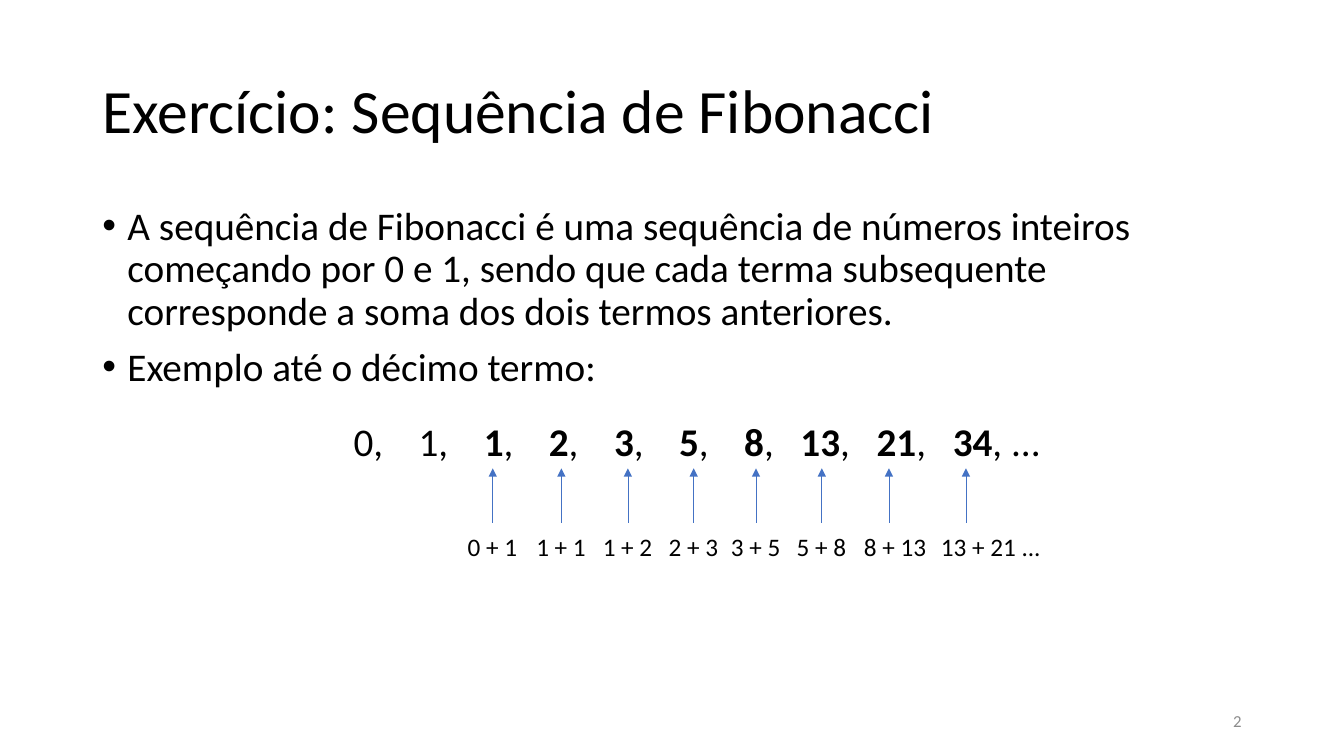
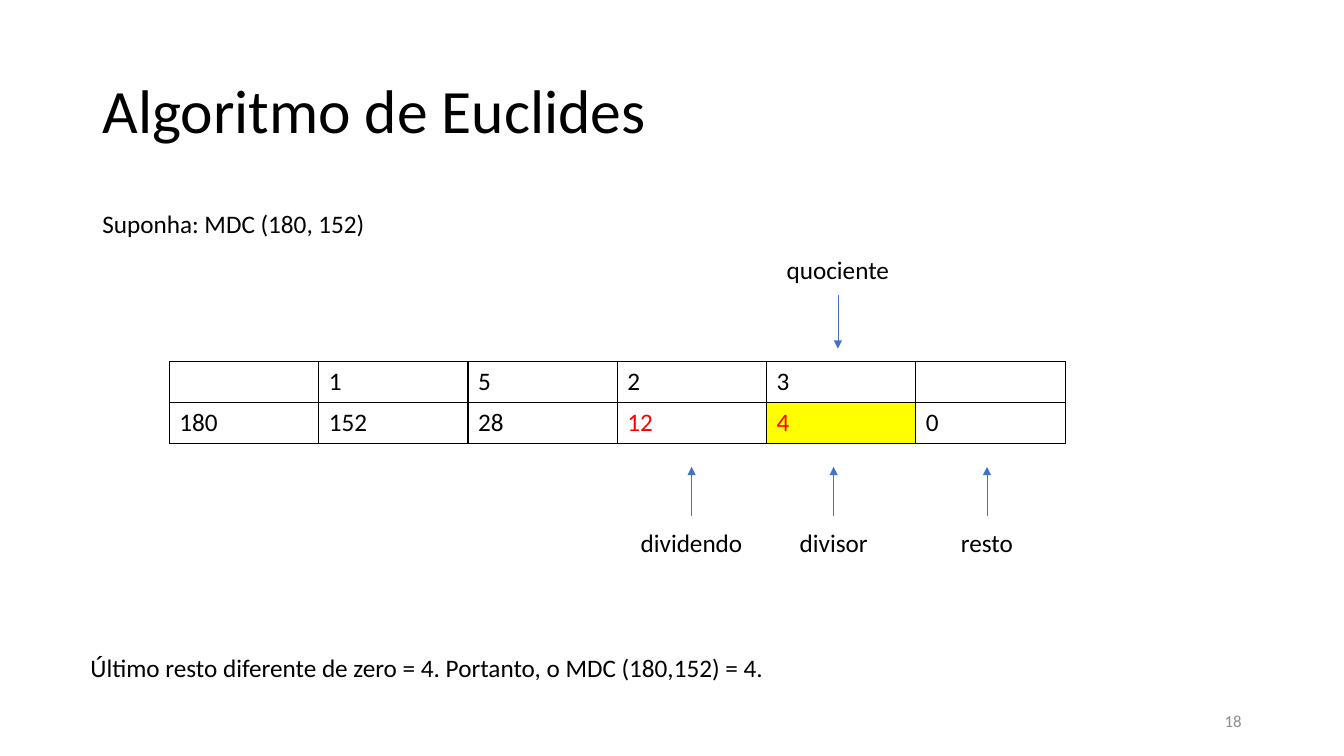
from itertools import accumulate

from pptx import Presentation
from pptx.dml.color import RGBColor
from pptx.enum.shapes import MSO_CONNECTOR
from pptx.enum.text import MSO_ANCHOR as Anchor, MSO_AUTO_SIZE as AutoSize, PP_ALIGN as Align
from pptx.oxml.ns import qn
from pptx.util import Pt
from lxml.etree import SubElement

COLORS = {
    "text": "000000",
    "muted": "8C8C8C",
    "arrow": "4472C4",
    "border": "000000",
    "accent": "FF0000",
    "highlight": "FFFF00",
}
FONT = "Calibri"
TITLE_ONLY = 5
TITLE_FORMAT = {"alignment": Align.LEFT, "line_spacing": 0.9}


def rgb(name):
    return RGBColor.from_string(COLORS[name])


def set_attributes(target, values):
    for name, value in values.items():
        setattr(target, name, value)


def add_run(paragraph, text, size, color="text", bold=False):
    run = paragraph.add_run()
    run.text = text
    set_attributes(run.font, {"name": FONT, "size": Pt(size), "bold": bold})
    run.font.color.rgb = rgb(color)


def add_box(slide, left, top, width, height, **frame_format):
    """Add an empty text box and return its text frame."""
    box = slide.shapes.add_textbox(Pt(left), Pt(top), Pt(width), Pt(height))
    set_attributes(box.text_frame, {"word_wrap": True, **frame_format})
    return box.text_frame


def add_label(slide, text, left, top, width, alignment=Align.LEFT):
    frame = add_box(slide, left, top, width, 29,
                    word_wrap=False, auto_size=AutoSize.SHAPE_TO_FIT_TEXT)
    paragraph = frame.paragraphs[0]
    paragraph.alignment = alignment
    add_run(paragraph, text, 18)


def add_arrow(slide, x, start, end):
    """Add a vertical arrow with its head at end."""
    connector = slide.shapes.add_connector(
        MSO_CONNECTOR.STRAIGHT, Pt(x), Pt(start), Pt(x), Pt(end))
    connector.line.color.rgb = rgb("arrow")
    connector.line.width = Pt(0.5)
    properties = connector.element.spPr
    SubElement(properties.find(qn("a:ln")), qn("a:tailEnd"), type="triangle")
    SubElement(properties, qn("a:effectLst"))


def add_slide(presentation, title, number):
    """Add a slide with the shared title style and page number."""
    slide = presentation.slides.add_slide(presentation.slide_layouts[TITLE_ONLY])
    shape = slide.shapes.title
    set_attributes(shape, {"left": Pt(66), "top": Pt(29),
                           "width": Pt(828), "height": Pt(104)})
    set_attributes(shape.text_frame, {"vertical_anchor": Anchor.MIDDLE,
                                      "auto_size": AutoSize.NONE})
    paragraph = shape.text_frame.paragraphs[0]
    set_attributes(paragraph, TITLE_FORMAT)
    add_run(paragraph, title, 44)

    frame = add_box(slide, 678, 500.5, 216, 29, vertical_anchor=Anchor.MIDDLE)
    frame.paragraphs[0].alignment = Align.RIGHT
    add_run(frame.paragraphs[0], number, 12, "muted")
    return slide


def add_bullets(slide, texts):
    frame = add_box(slide, 66, 144, 828, 343)
    for index, text in enumerate(texts):
        paragraph = frame.add_paragraph() if index else frame.paragraphs[0]
        properties = paragraph._p.get_or_add_pPr()
        set_attributes(paragraph, {"line_spacing": 0.9, "space_before": Pt(10 if index else 0)})
        properties.set("marL", str(Pt(18)))
        properties.set("indent", str(-Pt(18)))
        SubElement(properties, qn("a:buFont"), typeface="Arial")
        SubElement(properties, qn("a:buChar"), char="•")
        add_run(paragraph, text, 28)


def add_sequence(slide, terms, gaps):
    """Write the terms on one line at tab stops, bold from the third on."""
    paragraph = add_box(slide, 245.5, 294.5, 532, 41).paragraphs[0]
    tabs = SubElement(paragraph._p.get_or_add_pPr(), qn("a:tabLst"))
    for position in accumulate(gaps):
        SubElement(tabs, qn("a:tab"), pos=str(Pt(position)), algn="l")
    for index, term in enumerate(terms):
        add_run(paragraph, term, 28, bold=index > 1)
        add_run(paragraph, ", ..." if index == len(terms) - 1 else ",\t", 28)


def add_borders(cell):
    properties = cell._tc.get_or_add_tcPr()
    for side in ("lnL", "lnR", "lnT", "lnB"):
        line = SubElement(properties, qn(f"a:{side}"), w=str(Pt(1)))
        fill = SubElement(line, qn("a:solidFill"))
        SubElement(fill, qn("a:srgbClr"), val=COLORS["border"])


def add_division_table(slide, rows, accents, highlight):
    """Add the table; accents and highlight are texts in its last row."""
    table = slide.shapes.add_table(
        len(rows), len(rows[0]), Pt(121), Pt(258.5), Pt(640), Pt(58.4)).table
    set_attributes(table, {"first_row": False, "horz_banding": False})
    for row_index, row in enumerate(rows):
        is_last = row_index == len(rows) - 1
        for column_index, text in enumerate(row):
            cell = table.cell(row_index, column_index)
            add_borders(cell)
            if is_last and text == highlight:
                cell.fill.solid()
                cell.fill.fore_color.rgb = rgb("highlight")
            else:
                cell.fill.background()
            if text:
                color = "accent" if is_last and text in accents else "text"
                add_run(cell.text_frame.paragraphs[0], text, 18, color)


def build_fibonacci(presentation):
    slide = add_slide(presentation, "Exercício: Sequência de Fibonacci", "2")
    add_bullets(slide, [
        "A sequência de Fibonacci é uma sequência de números inteiros começando por 0 e 1, "
        "sendo que cada terma subsequente corresponde a soma dos dois termos anteriores.",
        "Exemplo até o décimo termo:",
    ])
    add_sequence(slide, ["0", "1", "1", "2", "3", "5", "8", "13", "21", "34"],
                 [46.5] * 6 + [40.2] + [54.4] * 2)
    sums = [
        ("0 + 1", 352, 50), ("1 + 1", 401, 50), ("1 + 2", 448.5, 50), ("2 + 3", 495.5, 50),
        ("3 + 5", 540, 50), ("5 + 8", 587, 50), ("8 + 13", 635, 60), ("13 + 21 ...", 690, 86.5),
    ]
    for text, x, width in sums:
        add_arrow(slide, x, 373.5, 334.5)
        add_label(slide, text, x - 25, 376, width)


def build_euclid(presentation):
    slide = add_slide(presentation, "Algoritmo de Euclides", "18")
    add_label(slide, "Suponha: MDC (180, 152)", 66, 145, 209.5)
    add_division_table(slide, [["", "1", "5", "2", "3", ""],
                               ["180", "152", "28", "12", "4", "0"]],
                       accents=("12", "4"), highlight="4")
    below = {"start": 368.5, "end": 333.5, "top": 373}
    above = {"start": 211, "end": 249, "top": 178}
    parts = [
        ("dividendo", 494, 88, below), ("divisor", 595.5, 63, below),
        ("quociente", 598.5, 88.5, above), ("resto", 705, 52, below),
    ]
    for text, x, width, place in parts:
        add_arrow(slide, x, place["start"], place["end"])
        add_label(slide, text, x - width / 2, place["top"], width, Align.CENTER)
    add_label(slide, "Último resto diferente de zero = 4. Portanto, o MDC (180,152) = 4.",
              57.5, 462.5, 501)


def main():
    presentation = Presentation()
    set_attributes(presentation, {"slide_width": Pt(960), "slide_height": Pt(540)})
    build_fibonacci(presentation)
    build_euclid(presentation)
    presentation.save("out.pptx")


if __name__ == "__main__":
    main()
